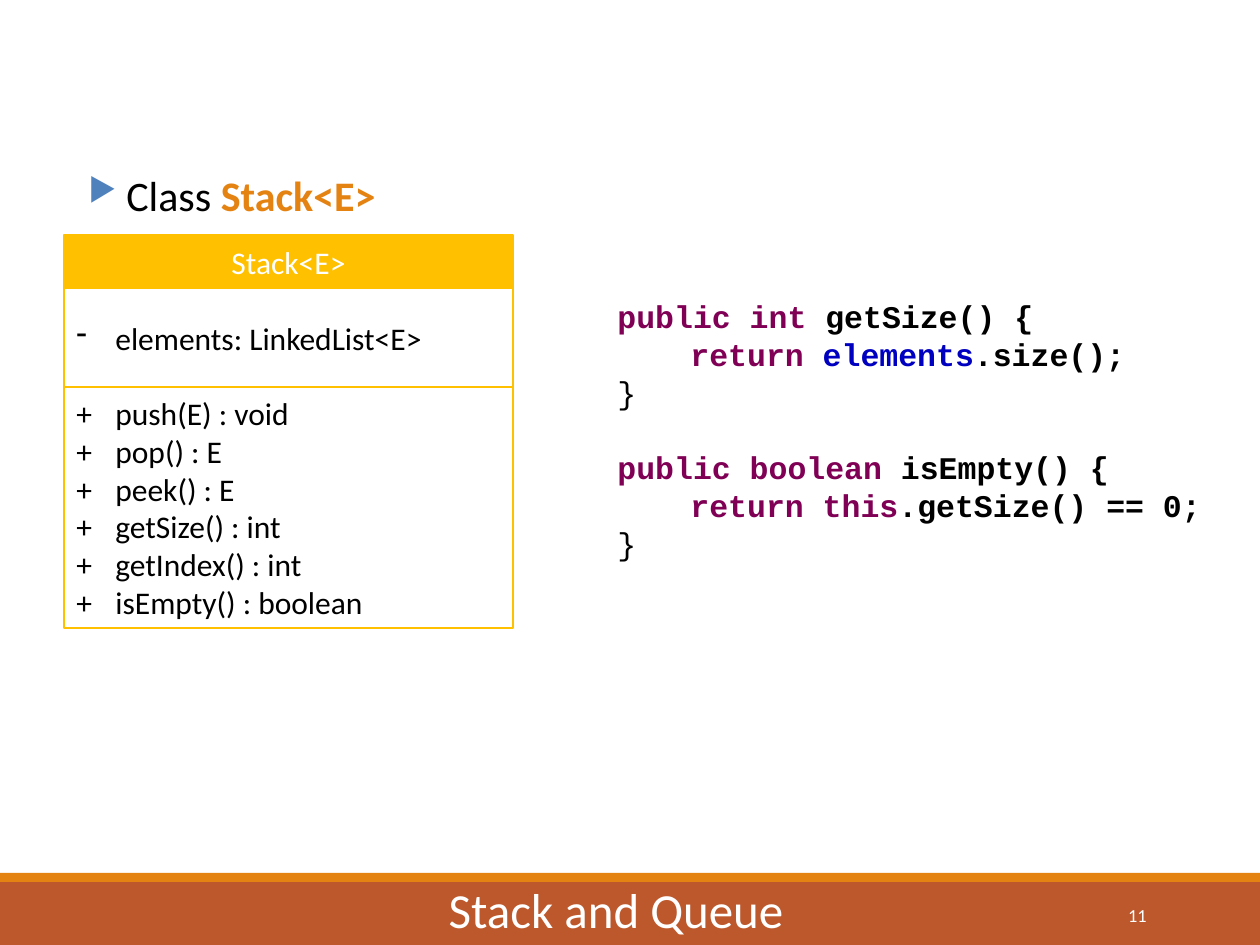
"""Build the Stack<E> slide: a class diagram beside two of its methods."""
from pptx import Presentation
from pptx import util as u
from pptx.dml.color import RGBColor
from pptx.enum import shapes, text
from pptx.oxml import parse_xml
from pptx.oxml.ns import nsdecls

BLACK, WHITE = RGBColor(0, 0, 0), RGBColor(255, 255, 255)
RUST, ORANGE = RGBColor(0xBD, 0x58, 0x2C), RGBColor(0xE4, 0x83, 0x12)
GOLD, BLUE = RGBColor(0xFF, 0xC0, 0x00), RGBColor(0x4F, 0x81, 0xBD)
KEYWORD, FIELD = RGBColor(0x7F, 0x00, 0x55), RGBColor(0x00, 0x00, 0xC0)
SANS, MONO = "Calibri", "Courier New"
PX = 914400 // 126

TITLE, PAGE_NUMBER = "Stack and Queue", "11"
HEADING = [("Class ", BLACK, False), ("Stack<E>", ORANGE, True)]
CLASS_NAME = "Stack<E>"
FIELDS = ["elements: LinkedList<E>"]
METHODS = ["push(E) : void", "pop() : E", "peek() : E", "getSize() : int",
           "getIndex() : int", "isEmpty() : boolean"]
CODE = [
    [[("public int ", KEYWORD, True), ("getSize() {", BLACK, True)],
     [("return ", KEYWORD, True), ("elements", FIELD, True), (".size();", BLACK, True)],
     [("}", BLACK, False)]],
    [[("public boolean ", KEYWORD, True), ("isEmpty() {", BLACK, True)],
     [("return this", KEYWORD, True), (".getSize() == 0;", BLACK, True)],
     [("}", BLACK, False)]],
]
BARS = [(882, 63, RUST), (873, 9, ORANGE)]
CLASS_LEFT, CLASS_WIDTH = 64, 449
HANG, CODE_INDENT, CODE_LINE = 39, 73, u.Pt(21.6)


def place(shape, left, top, width, height):
    shape.left, shape.top = left * PX, top * PX
    shape.width, shape.height = width * PX, height * PX


def add_box(page, left, top, width, height, fill, line=None):
    box = page.shapes.add_shape(shapes.MSO_SHAPE.RECTANGLE, left * PX, top * PX,
                                width * PX, height * PX)
    box.shadow.inherit = False
    box.fill.solid()
    box.fill.fore_color.rgb = fill
    if line is None:
        box.line.fill.background()
    else:
        box.line.color.rgb = line
        box.line.width = u.Pt(1.25)
    box.text_frame.vertical_anchor = text.MSO_ANCHOR.MIDDLE
    return box.text_frame


def add_text(page, left, top, width, height):
    frame = page.shapes.add_textbox(left * PX, top * PX, width * PX, height * PX).text_frame
    frame.word_wrap = True
    return frame


def next_para(frame, first):
    return frame.paragraphs[0] if first else frame.add_paragraph()


def add_spans(para, spans, size, font=SANS, align=text.PP_ALIGN.LEFT):
    para.alignment = align
    for words, color, bold in spans:
        span = para.add_run()
        span.text = words
        span.font.size, span.font.name, span.font.bold = u.Pt(size), font, bold
        span.font.color.rgb = color


def add_elements(para, markup):
    properties = para._p.get_or_add_pPr()
    for element in list(parse_xml(f"<a:pPr {nsdecls('a')}>{markup}</a:pPr>")):
        properties.append(element)
    return properties


def add_bullet(para, hang, markup):
    properties = add_elements(para, markup)
    properties.set("marL", str(hang * PX))
    properties.set("indent", str(-hang * PX))


def add_class(page):
    name = add_box(page, CLASS_LEFT, 235, CLASS_WIDTH, 54, GOLD, GOLD)
    add_spans(name.paragraphs[0], [(CLASS_NAME, WHITE, False)], 18,
              align=text.PP_ALIGN.CENTER)
    fields = add_box(page, CLASS_LEFT, 288, CLASS_WIDTH, 99, WHITE, GOLD)
    for index, words in enumerate(FIELDS):
        para = next_para(fields, index == 0)
        add_bullet(para, HANG, '<a:buChar char="-"/>')
        add_spans(para, [(words, BLACK, False)], 18, align=text.PP_ALIGN.JUSTIFY)
    methods = add_box(page, CLASS_LEFT, 387, CLASS_WIDTH, 241, WHITE, GOLD)
    for index, words in enumerate(METHODS):
        para = next_para(methods, index == 0)
        add_elements(para, f'<a:tabLst><a:tab pos="{HANG * PX}" algn="l"/></a:tabLst>')
        add_spans(para, [("+\t" + words, BLACK, False)], 18, align=text.PP_ALIGN.JUSTIFY)


def add_code(page):
    frame = add_text(page, 605, 291, 641, 280)
    for block, lines in enumerate(CODE):
        for row, spans in enumerate(lines):
            para = next_para(frame, block == row == 0)
            para.line_spacing = CODE_LINE
            if block and row == 0:
                para.space_before = CODE_LINE
            if 0 < row < len(lines) - 1:
                para._p.get_or_add_pPr().set("indent", str(CODE_INDENT * PX))
            add_spans(para, spans, 18, MONO)


def main():
    deck = Presentation()
    deck.slide_width, deck.slide_height = u.Inches(10), u.Inches(7.5)
    page = deck.slides.add_slide(deck.slide_layouts[5])
    for top, height, color in BARS:
        add_box(page, 0, top, 1260, height, color)

    heading = add_text(page, 76, 163, 505, 359).paragraphs[0]
    add_bullet(heading, 38, f'<a:buClr><a:srgbClr val="{BLUE}"/></a:buClr>'
               '<a:buSzPct val="76000"/><a:buChar char="▶"/>')
    add_spans(heading, HEADING, 24)
    add_class(page)
    add_code(page)

    title = page.shapes.title
    page.shapes._spTree.append(title._element)
    place(title, 436, 873, 364, 72)
    title.text_frame.word_wrap = False
    title.text_frame.vertical_anchor = text.MSO_ANCHOR.TOP
    add_spans(title.text_frame.paragraphs[0], [(TITLE, WHITE, False)], 28)

    number = add_text(page, 1023, 890, 136, 50)
    number.vertical_anchor = text.MSO_ANCHOR.MIDDLE
    add_spans(number.paragraphs[0], [(PAGE_NUMBER, WHITE, False)], 10.5,
              align=text.PP_ALIGN.RIGHT)
    deck.save("out.pptx")


if __name__ == "__main__":
    main()
